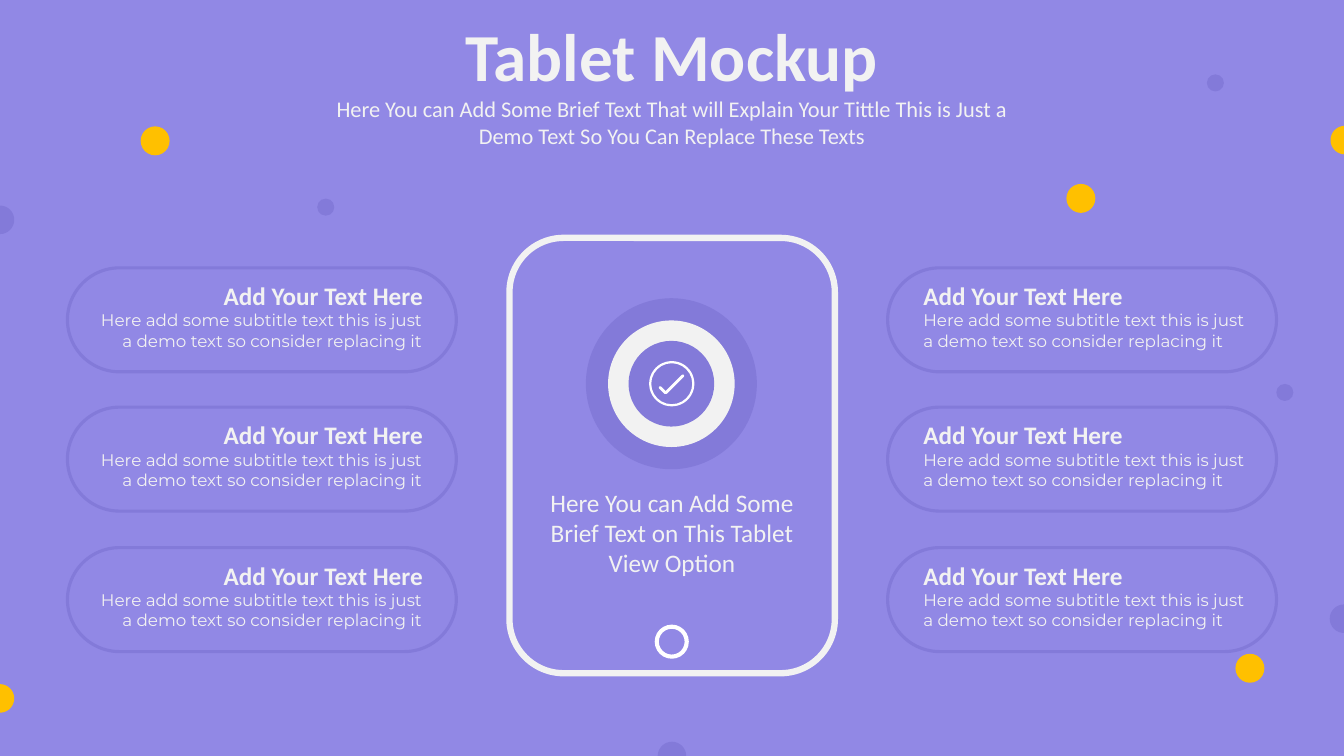
from math import cos, radians, sin

from lxml import etree
from pptx import Presentation
from pptx.dml.color import RGBColor
from pptx.enum.shapes import MSO_SHAPE
from pptx.enum.text import MSO_ANCHOR, MSO_AUTO_SIZE, PP_ALIGN
from pptx.oxml.ns import qn
from pptx.util import Cm, Pt

LAVENDER = RGBColor(0x91, 0x88, 0xE5)
VIOLET = RGBColor(0x83, 0x7A, 0xD9)
AMBER = RGBColor(0xFF, 0xC0, 0x00)
OFF_WHITE = RGBColor(0xF2, 0xF2, 0xF2)
WHITE = RGBColor(0xFF, 0xFF, 0xFF)

WIDTH, HEIGHT = 33.87, 19.05

prs = Presentation()
prs.slide_width, prs.slide_height = Cm(WIDTH), Cm(HEIGHT)
s = prs.slides.add_slide(prs.slide_layouts[5])
s.background.fill.solid()
s.background.fill.fore_color.rgb = LAVENDER


def add_centred(kind, cx, cy, w, h, color, adj=None):
    """Add a filled shape without outline, centred on (cx, cy) in cm."""
    sp = s.shapes.add_shape(kind, Cm(cx - w / 2), Cm(cy - h / 2), Cm(w), Cm(h))
    sp.shadow.inherit = False
    sp.fill.solid()
    sp.fill.fore_color.rgb = color
    sp.line.fill.background()
    if adj is not None:
        sp.adjustments[0] = adj
    return sp


def write(sp, text, size, align, font="Calibri", bold=False):
    tf = sp.text_frame
    tf.word_wrap = True
    tf.auto_size = MSO_AUTO_SIZE.NONE
    tf.vertical_anchor = MSO_ANCHOR.TOP
    tf.text = text
    p = tf.paragraphs[0]
    p.alignment = align
    r = p.runs[0]
    r.font.name = font
    r.font.size = Pt(size)
    r.font.bold = bold
    r.font.color.rgb = OFF_WHITE


# Heading
title = s.shapes.title
title.left, title.top, title.width, title.height = Cm(10.21), Cm(0.23), Cm(13.44), Cm(2.31)
write(title, "Tablet Mockup", 48, PP_ALIGN.CENTER, bold=True)
subtitle = s.shapes.add_textbox(Cm(8.11), Cm(2.28), Cm(17.65), Cm(1.63))
write(subtitle, "Here You can Add Some Brief Text That will Explain Your Tittle "
      "This is Just a Demo Text So You Can Replace These Texts", 16, PP_ALIGN.CENTER)

# Scattered dots
for cx, cy, d, color in [
    (8.21, 5.22, 0.43, VIOLET),
    (32.38, 9.89, 0.43, VIOLET),
    (30.63, 2.09, 0.43, VIOLET),
    (3.91, 3.55, 0.73, AMBER),
    (31.5, 16.84, 0.73, AMBER),
    (27.24, 5.0, 0.73, AMBER),
]:
    add_centred(MSO_SHAPE.OVAL, cx, cy, d, d, color)

# Half dots on the slide edges, each bulging towards the given angle
radius = Cm(0.36)
near, far = round(0.45 * radius), round(1.55 * radius)
handle = radius - near
controls = [[(handle, 0), (radius, near)], [(radius, far), (handle, 2 * radius)]]
for cx, cy, facing, color in [
    (0, 17.6, 0, AMBER),
    (0, 5.54, 0, VIOLET),
    (WIDTH, 15.59, 180, VIOLET),
    (WIDTH + 0.02, 3.53, 180, AMBER),
    (WIDTH / 2, HEIGHT, 270, VIOLET),
]:
    builder = s.shapes.build_freeform(0, 2 * radius)
    builder.add_line_segments([(0, 0), (radius, radius), (0, 2 * radius)], close=True)
    sp = builder.convert_to_shape()
    curves = list(sp._element.iter(qn("a:lnTo")))[1:]
    for curve, points in zip(curves, controls):
        curve.tag = qn("a:cubicBezTo")
        for i, (x, y) in enumerate(points):
            curve.insert(i, etree.Element(qn("a:pt"), x=str(x), y=str(y)))
    sp.left = Cm(cx + 0.18 * cos(radians(facing)) - 0.18)
    sp.top = Cm(cy + 0.18 * sin(radians(facing)) - 0.36)
    sp.rotation = facing
    sp.shadow.inherit = False
    sp.fill.solid()
    sp.fill.fore_color.rgb = color
    sp.line.fill.background()

# Text pills on both sides of the tablet
for pill_x, heading_x, body_x, align in [
    (1.7, 5.17, 2.1, PP_ALIGN.RIGHT),
    (22.37, 23.02, 23.02, PP_ALIGN.LEFT),
]:
    for y, heading_y in [(6.75, 6.94), (10.26, 10.44), (13.8, 14.0)]:
        pill = add_centred(MSO_SHAPE.ROUNDED_RECTANGLE, pill_x + 4.9, y + 1.31,
                           9.8, 2.62, LAVENDER, 0.5)
        pill.line.color.rgb = VIOLET
        pill.line.width = Pt(2.25)
        heading = s.shapes.add_textbox(Cm(heading_x), Cm(heading_y), Cm(5.74), Cm(1.02))
        write(heading, "Add Your Text Here", 18, align, bold=True)
        body = s.shapes.add_textbox(Cm(body_x), Cm(y + 0.94), Cm(8.79), Cm(1.27))
        write(body, "Here add some subtitle text this is just a demo text "
              "so consider replacing it", 12, align, font="Montserrat")

# Tablet screen: caption and target rings with a check mark
caption = s.shapes.add_textbox(Cm(13.34), Cm(12.15), Cm(7.19), Cm(2.57))
write(caption, "Here You can Add Some Brief Text on This Tablet View Option",
      18, PP_ALIGN.CENTER)
for d, color in [(4.31, VIOLET), (3.19, OFF_WHITE), (2.16, VIOLET)]:
    add_centred(MSO_SHAPE.OVAL, 16.92, 9.67, d, d, color)
add_centred(MSO_SHAPE.DONUT, 16.93, 9.67, 1.14, 1.14, WHITE, 0.047)
for cx, cy, length, angle in [(16.7, 9.83, 0.25, 135), (17.0, 9.68, 0.66, 225)]:
    stroke = add_centred(MSO_SHAPE.ROUNDED_RECTANGLE, cx, cy, 0.07, length, WHITE, 0.5)
    stroke.rotation = angle

# Tablet frame and home button
tablet = add_centred(MSO_SHAPE.ROUNDED_RECTANGLE, 16.94, 11.48, 8.2, 10.97, LAVENDER)
tablet.fill.background()
tablet.line.color.rgb = OFF_WHITE
tablet.line.width = Pt(4.5)
add_centred(MSO_SHAPE.DONUT, 16.93, 16.17, 0.86, 0.86, WHITE, 0.122)

prs.save("out.pptx")
